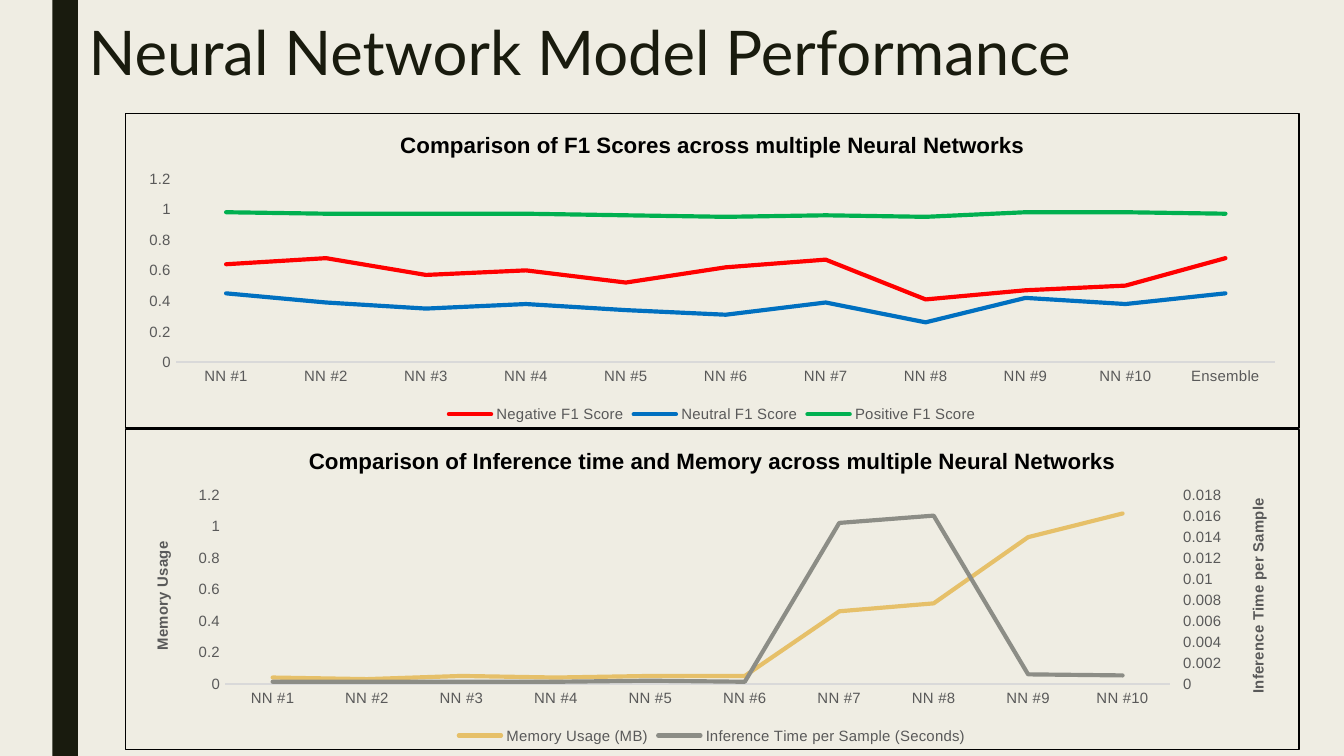
import copy
from dataclasses import dataclass

import pptx
import pptx.chart.data
import pptx.dml.color
import pptx.enum.chart
import pptx.enum.shapes
import pptx.oxml
import pptx.oxml.ns
import pptx.util

Inches = pptx.util.Inches
Pt = pptx.util.Pt
qn = pptx.oxml.ns.qn
TICK = pptx.enum.chart.XL_TICK_MARK


@dataclass(frozen=True)
class Theme:
    paper: str = "EFEDE3"
    ink: str = "191B0E"
    black: str = "000000"
    muted: str = "595959"
    rule: str = "D9D9D9"
    red: str = "FF0000"
    blue: str = "0070C0"
    green: str = "00B050"
    gold: str = "E6C069"
    gray: str = "8C8D86"
    head_font: str = "Lato"
    chart_font: str = "Arial"
    head_size: int = 33
    chart_title_size: int = 12
    label_size: int = 8
    series_width: float = 2.25
    hairline: float = 0.75


def rgb(color):
    return pptx.dml.color.RGBColor.from_string(color)


def set_font(font, size, color, name, bold=False):
    font.size, font.bold, font.name = Pt(size), bold, name
    font.color.rgb = rgb(color)


def write(tf, text, spacing=None, **style):
    """Put one formatted line of text in a text frame."""
    p = tf.paragraphs[0]
    if spacing:
        p.line_spacing = spacing
    r = p.add_run()
    r.text = text
    set_font(r.font, **style)


def set_val(parent, tag, value):
    parent.find(qn(tag)).set("val", value)


class Deck:
    def __init__(self, prs, theme):
        self.theme = theme
        self.height = prs.slide_height
        self.s = prs.slides.add_slide(prs.slide_layouts[6])
        fill = self.s.background.fill
        fill.solid()
        fill.fore_color.rgb = rgb(theme.paper)

    def side_bar(self, x, w):
        sp = self.s.shapes.add_shape(
            pptx.enum.shapes.MSO_SHAPE.RECTANGLE, Inches(x), 0, Inches(w), self.height)
        sp.shadow.inherit = False
        sp.fill.solid()
        sp.fill.fore_color.rgb = rgb(self.theme.ink)
        sp.line.fill.background()

    def heading(self, text, x, y, w, h):
        t = self.theme
        tf = self.s.shapes.add_textbox(*map(Inches, (x, y, w, h))).text_frame
        tf.word_wrap = True
        tf.margin_left = tf.margin_right = Inches(0.07)
        tf.margin_top = tf.margin_bottom = Inches(0.04)
        write(tf, text, spacing=0.89, size=t.head_size, color=t.ink, name=t.head_font)

    def line_chart(self, title, cats, series, box, plot_box):
        """series holds (name, colour, values); plot_box is in percent of the chart."""
        t = self.theme
        data = pptx.chart.data.CategoryChartData()
        data.categories = cats
        for name, _, values in series:
            data.add_series(name, values)
        chart = self.s.shapes.add_chart(
            pptx.enum.chart.XL_CHART_TYPE.LINE, *map(Inches, box), data).chart
        set_font(chart.font, t.label_size, t.black, t.chart_font)
        chart.has_title = True
        chart.chart_title.include_in_layout = False
        write(chart.chart_title.text_frame, title, size=t.chart_title_size,
              color=t.black, name=t.chart_font, bold=True)
        chart.has_legend = True
        chart.legend.position = pptx.enum.chart.XL_LEGEND_POSITION.BOTTOM
        chart.legend.include_in_layout = False
        set_font(chart.legend.font, t.label_size, t.muted, t.chart_font)

        # Axes and series
        for axis in (chart.category_axis, chart.value_axis):
            axis.has_major_gridlines = False
            axis.major_tick_mark = axis.minor_tick_mark = TICK.NONE
            set_font(axis.tick_labels.font, t.label_size, t.muted, t.chart_font)
        chart.category_axis.format.line.color.rgb = rgb(t.rule)
        chart.category_axis.format.line.width = Pt(t.hairline)
        chart.value_axis.format.line.fill.background()
        plot = chart.plots[0]
        plot.vary_by_categories = False
        for ser, (_, color, _) in zip(plot.series, series):
            ser.smooth = False
            ser.format.line.color.rgb = rgb(color)
            ser.format.line.width = Pt(t.series_width)
        for ser in chart.element.iter(qn("c:ser")):
            ser.find(f"{qn('c:spPr')}/{qn('a:ln')}").set("cap", "rnd")

        self.place_plot(chart, plot_box)
        self.frame(chart)
        return chart

    def place_plot(self, chart, plot_box):
        area = chart.element.find(".//" + qn("c:plotArea"))
        for old in area.findall(qn("c:layout")):
            area.remove(old)
        sizes = "".join(f'<c:{k} val="{v / 100:.3f}"/>' for k, v in zip("xywh", plot_box))
        area.insert(0, pptx.oxml.parse_xml(
            f'<c:layout {pptx.oxml.ns.nsdecls("c")}><c:manualLayout>'
            '<c:layoutTarget val="inner"/><c:xMode val="edge"/><c:yMode val="edge"/>'
            f'{sizes}</c:manualLayout></c:layout>'))

    def frame(self, chart):
        t = self.theme
        chart.element.find(qn("c:chart")).addnext(pptx.oxml.parse_xml(
            f'<c:spPr {pptx.oxml.ns.nsdecls("c", "a")}><a:noFill/>'
            f'<a:ln w="{Pt(t.hairline)}"><a:solidFill><a:srgbClr val="{t.black}"/>'
            '</a:solidFill></a:ln></c:spPr>'))

    def value_title(self, chart, text):
        t = self.theme
        title = chart.value_axis.axis_title
        write(title.text_frame, text, size=t.label_size, color=t.muted,
              name=t.chart_font, bold=True)
        body = chart.element.find(f".//{qn('c:valAx')}//{qn('a:bodyPr')}")
        body.set("rot", "-5400000")
        body.set("vert", "horz")

    def second_axis(self, chart, text):
        """Move the last series to a value axis on the right."""
        area = chart.element.find(".//" + qn("c:plotArea"))
        left = area.find(qn("c:lineChart"))
        right = copy.deepcopy(left)
        left.remove(left.findall(qn("c:ser"))[-1])
        for ser in right.findall(qn("c:ser"))[:-1]:
            right.remove(ser)
        left.addnext(right)
        cat_id, val_id = "50010", "50020"
        for ax, new_id in zip(right.findall(qn("c:axId")), (cat_id, val_id)):
            ax.set("val", new_id)

        cat = copy.deepcopy(area.find(qn("c:catAx")))
        val = copy.deepcopy(area.find(qn("c:valAx")))
        for ax, own, other in ((cat, cat_id, val_id), (val, val_id, cat_id)):
            set_val(ax, "c:axId", own)
            set_val(ax, "c:crossAx", other)
        set_val(cat, "c:delete", "1")
        set_val(val, "c:axPos", "r")
        set_val(val, "c:crosses", "max")
        set_val(val, "c:majorTickMark", "out")
        val.find(".//" + qn("a:t")).text = text
        area.find(qn("c:valAx")).addnext(val)
        val.addnext(cat)


def main():
    prs = pptx.Presentation()
    prs.slide_width = Inches(10)
    prs.slide_height = prs.slide_width * 9 // 16
    t = Theme()
    deck = Deck(prs, t)
    networks = [f"NN #{i}" for i in range(1, 11)]
    left, top, width, f1_height = 0.93, 0.84, 8.74, 2.35

    # Side bar and heading
    deck.side_bar(0.39, 0.19)
    deck.heading("Neural Network Model Performance", 0.59, 0.13, 8.53, 0.71)

    # Inference time and memory
    chart = deck.line_chart(
        "Comparison of Inference time and Memory across multiple Neural Networks", networks,
        [("Memory Usage (MB)", t.gold,
          [0.04, 0.03, 0.05, 0.04, 0.05, 0.05, 0.46, 0.51, 0.93, 1.08]),
         ("Inference Time per Sample (Seconds)", t.gray,
          [0.0002, 0.0002, 0.0002, 0.0002, 0.0003, 0.0002, 0.0153, 0.016, 0.0009, 0.0008])],
        (left, top + f1_height, width, 2.39), (8.5, 20.4, 80.5, 59.2))
    deck.value_title(chart, "Memory Usage")
    deck.second_axis(chart, "Inference Time per Sample")

    # F1 scores
    deck.line_chart(
        "Comparison of F1 Scores across multiple Neural Networks", networks + ["Ensemble"],
        [("Negative F1 Score", t.red,
          [0.64, 0.68, 0.57, 0.6, 0.52, 0.62, 0.67, 0.41, 0.47, 0.5, 0.68]),
         ("Neutral F1 Score", t.blue,
          [0.45, 0.39, 0.35, 0.38, 0.34, 0.31, 0.39, 0.26, 0.42, 0.38, 0.45]),
         ("Positive F1 Score", t.green,
          [0.98, 0.97, 0.97, 0.97, 0.96, 0.95, 0.96, 0.95, 0.98, 0.98, 0.97])],
        (left, top, width, f1_height), (4.3, 20.7, 93.7, 58.4))

    prs.save("out.pptx")


if __name__ == "__main__":
    main()
